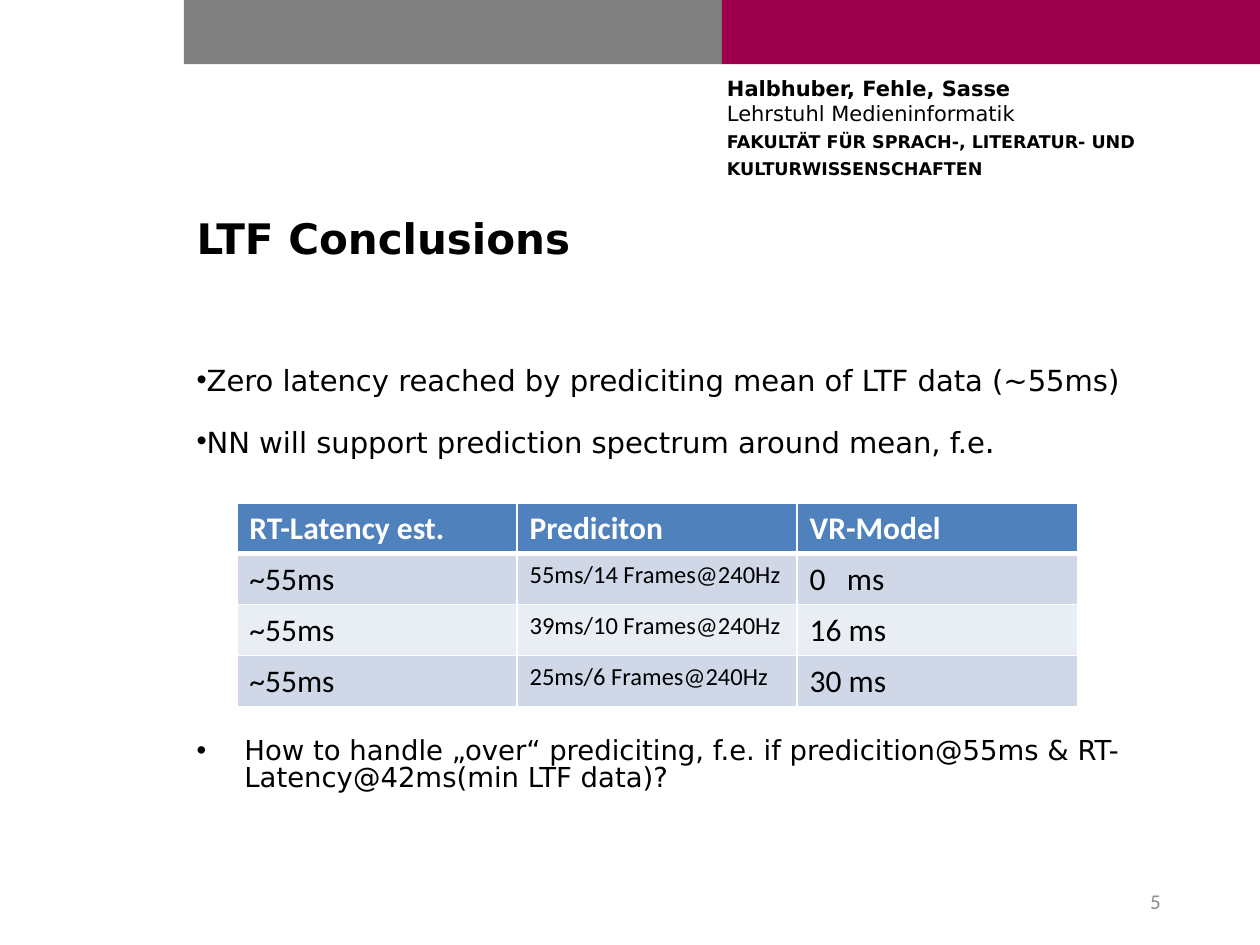
from pptx import Presentation
from pptx.dml.color import RGBColor
from pptx.enum.shapes import MSO_SHAPE
from pptx.enum.text import MSO_ANCHOR, MSO_AUTO_SIZE, PP_ALIGN
from pptx.oxml import parse_xml
from pptx.oxml.ns import nsdecls
from pptx.util import Inches, Pt
from dataclasses import dataclass


@dataclass(frozen=True)
class Theme:
    heading_font: str = "DejaVu Sans"
    table_font: str = "Calibri"
    black: str = "000000"
    white: str = "FFFFFF"
    gray: str = "808080"
    crimson: str = "9C004B"
    number_gray: str = "8C8C8C"
    table_head: str = "4F81BD"
    bands: tuple = ("D0D8E8", "E9EDF4")
    title_size: float = 24
    bullet_size: float = 16.6
    period_size: float = 18.5
    question_size: float = 15.7
    author_size: float = 12
    faculty_size: float = 10
    cell_size: float = 18
    prediction_size: float = 14
    number_size: float = 12


theme = Theme()


def style(span, size, color=theme.black, bold=False, font=theme.heading_font):
    span.font.name = font
    span.font.size = Pt(size)
    span.font.bold = bold
    span.font.color.rgb = RGBColor.from_string(color)


def place(shape, left, top, width, height):
    shape.left, shape.top = Inches(left), Inches(top)
    shape.width, shape.height = Inches(width), Inches(height)


deck = Presentation()
deck.slide_width, deck.slide_height = Inches(10), Inches(7.5)
page = deck.slides.add_slide(deck.slide_layouts[1])

# Colour bars along the top
bar_width = 4.27
for index, color in enumerate((theme.gray, theme.crimson)):
    bar = page.shapes.add_shape(
        MSO_SHAPE.RECTANGLE, Inches(1.46 + index * bar_width), 0,
        Inches(bar_width), Inches(0.51))
    bar.shadow.inherit = False
    bar.fill.solid()
    bar.fill.fore_color.rgb = RGBColor.from_string(color)
    bar.line.fill.background()

# Authors and faculty
header = page.shapes.add_textbox(Inches(5.77), Inches(0.6), Inches(4.04), Inches(0.94))
frame = header.text_frame
frame.word_wrap = True
frame.margin_left = frame.margin_top = frame.margin_right = frame.margin_bottom = 0
frame.text = ("Halbhuber, Fehle, Sasse\vLehrstuhl Medieninformatik\n"
              "FAKULTÄT FÜR SPRACH-, LITERATUR- UND\nKULTURWISSENSCHAFTEN")
for para in frame.paragraphs:
    para.space_after = Pt(3)
    for span in para.runs:
        style(span, theme.faculty_size, bold=True)
authors, chair = frame.paragraphs[0].runs
style(authors, theme.author_size, bold=True)
style(chair, theme.author_size)

# Title
title = page.shapes.title
place(title, 1.46, 1.64, 7.86, 0.76)
title.text_frame.text = "LTF Conclusions"
title.text_frame.vertical_anchor = MSO_ANCHOR.TOP
title.text_frame.auto_size = MSO_AUTO_SIZE.NONE
title_para = title.text_frame.paragraphs[0]
title_para.alignment = PP_ALIGN.LEFT
style(title_para.runs[0], theme.title_size, bold=True)

# Bullets; the space before the last one leaves room for the table
bullets = [
    ([("Zero latency reached by prediciting mean of LTF data (~55ms)",
       theme.bullet_size)], 0, 0),
    ([("NN will support prediction spectrum around mean, f.e", theme.bullet_size),
      (".", theme.period_size)], 18, 0),
    ([("How to handle „over“ prediciting, f.e. if predicition@55ms & "
       "RT-Latency@42ms(min LTF data)?", theme.question_size)], 160, 0.38),
]
body = page.placeholders[1]
place(body, 1.46, 2.88, 7.87, 4.01)
body.text_frame.auto_size = MSO_AUTO_SIZE.NONE
for index, (spans, gap, indent) in enumerate(bullets):
    para = body.text_frame.paragraphs[0] if index == 0 else body.text_frame.add_paragraph()
    para.line_spacing = 0.8
    para.space_before = Pt(gap)
    for text, size in spans:
        span = para.add_run()
        span.text = text
        style(span, size)
    properties = para._p.get_or_add_pPr()
    properties.set("marL", str(Inches(indent)))
    properties.set("indent", str(Inches(-0.38)))
    properties.append(parse_xml(f'<a:buChar {nsdecls("a")} char="•"/>'))

# Latency table
rows = [
    ("RT-Latency est.", "Prediciton", "VR-Model"),
    ("~55ms", "55ms/14 Frames@240Hz", "0   ms"),
    ("~55ms", "39ms/10 Frames@240Hz", "16 ms"),
    ("~55ms", "25ms/6 Frames@240Hz", "30 ms"),
]
table = page.shapes.add_table(
    len(rows), 3, Inches(1.88), Inches(3.99), Inches(6.67), Inches(1.62)).table
for row_index, row in enumerate(rows):
    is_head = row_index == 0
    fill = theme.table_head if is_head else theme.bands[(row_index - 1) % 2]
    for column_index, text in enumerate(row):
        cell = table.cell(row_index, column_index)
        cell.text = text
        small = column_index == 1 and not is_head
        style(cell.text_frame.paragraphs[0].runs[0],
              theme.prediction_size if small else theme.cell_size,
              theme.white if is_head else theme.black, is_head, theme.table_font)
        properties = cell._tc.get_or_add_tcPr()
        for side in "LRTB":
            heavy = (row_index, side) in ((0, "B"), (1, "T"))
            properties.append(parse_xml(
                f'<a:ln{side} {nsdecls("a")} w="{Pt(3 if heavy else 1)}"><a:solidFill>'
                f'<a:srgbClr val="{theme.white}"/></a:solidFill></a:ln{side}>'))
        cell.fill.solid()
        cell.fill.fore_color.rgb = RGBColor.from_string(fill)

# Page number
number = page.shapes.add_textbox(Inches(7.06), Inches(6.95), Inches(2.25), Inches(0.4))
number.text_frame.word_wrap = True
number.text_frame.vertical_anchor = MSO_ANCHOR.MIDDLE
number.text_frame.text = "5"
number_para = number.text_frame.paragraphs[0]
number_para.alignment = PP_ALIGN.RIGHT
style(number_para.runs[0], theme.number_size, theme.number_gray, font=theme.table_font)

deck.save("out.pptx")
